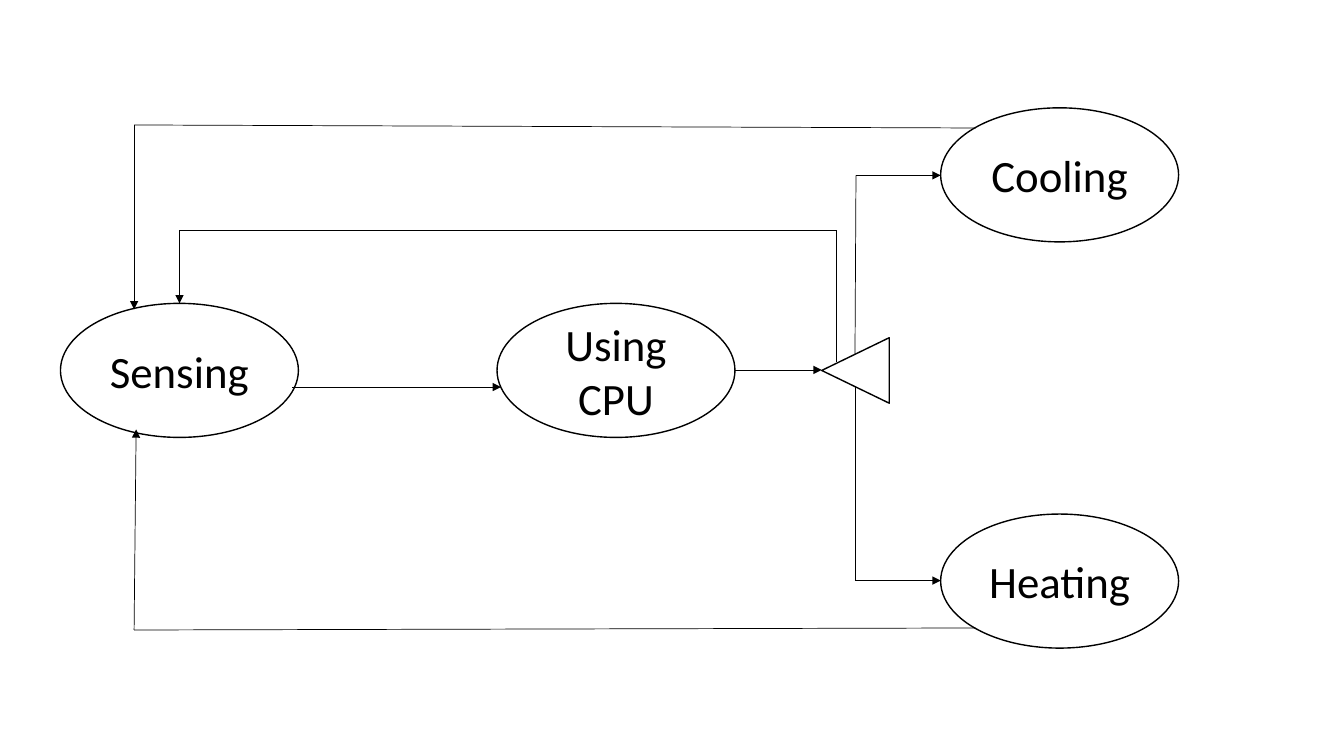
from dataclasses import dataclass
from itertools import pairwise

from lxml import etree
from pptx import Presentation
from pptx.dml.color import RGBColor
from pptx.enum.shapes import MSO_CONNECTOR, MSO_SHAPE
from pptx.enum.text import MSO_ANCHOR, PP_ALIGN
from pptx.oxml.ns import qn
from pptx.util import Inches, Pt

ELLIPSE = MSO_SHAPE.OVAL
TRIANGLE = MSO_SHAPE.ISOSCELES_TRIANGLE
STRAIGHT = MSO_CONNECTOR.STRAIGHT
MIDDLE = MSO_ANCHOR.MIDDLE
CENTER = PP_ALIGN.CENTER


@dataclass(frozen=True)
class Theme:
    ink: RGBColor = RGBColor(0, 0, 0)
    paper: RGBColor = RGBColor(255, 255, 255)
    font: str = "Calibri"
    label_size: Pt = Pt(32)
    outline: Pt = Pt(1)
    flow: Pt = Pt(0.5)


THEME = Theme()
STATE_WIDTH, STATE_HEIGHT = 2.36, 1.33
STATES = [
    ("Sensing", 0.6, 3.01),
    ("Using CPU", 4.93, 3.01),
    ("Heating", 9.33, 5.1),
    ("Cooling", 9.33, 1.07),
]
FLOWS = [
    [(2.9, 3.84), (4.97, 3.84)],
    [(7.29, 3.67), (8.15, 3.67)],
    [(8.48, 3.51), (8.49, 1.74), (9.33, 1.74)],
    [(8.48, 3.84), (8.48, 5.76), (9.33, 5.76)],
    [(8.3, 3.59), (8.3, 2.29), (1.78, 2.29), (1.78, 3.01)],
    [(9.68, 1.27), (1.33, 1.24), (1.33, 3.07)],
    [(9.68, 6.23), (1.33, 6.25), (1.35, 4.26)],
]


def add_outlined_shape(slide, kind, left, top, width, height):
    shape = slide.shapes.add_shape(
        kind, Inches(left), Inches(top), Inches(width), Inches(height)
    )
    shape.shadow.inherit = False
    shape.fill.solid()
    shape.fill.fore_color.rgb = THEME.paper
    shape.line.color.rgb = THEME.ink
    shape.line.width = THEME.outline
    return shape


def add_state(slide, label, left, top):
    shape = add_outlined_shape(slide, ELLIPSE, left, top, STATE_WIDTH, STATE_HEIGHT)
    frame = shape.text_frame
    frame.margin_left = frame.margin_right = 0
    frame.margin_top = frame.margin_bottom = 0
    frame.word_wrap = True
    frame.vertical_anchor = MIDDLE
    paragraph = frame.paragraphs[0]
    paragraph.text = label
    paragraph.alignment = CENTER
    paragraph.font.name = THEME.font
    paragraph.font.size = THEME.label_size
    paragraph.font.color.rgb = THEME.ink


def add_decision(slide):
    shape = add_outlined_shape(slide, TRIANGLE, 8.16, 3.34, 0.65, 0.67)
    shape.rotation = 270


def add_segment(slide, start, end):
    connector = slide.shapes.add_connector(
        STRAIGHT, *(Inches(value) for value in (*start, *end))
    )
    connector.line.color.rgb = THEME.ink
    connector.line.width = THEME.flow
    etree.SubElement(connector._element.spPr, qn("a:effectLst"))
    return connector


def add_flow(slide, points):
    segments = [add_segment(slide, start, end) for start, end in pairwise(points)]
    line = segments[-1].get_or_add_ln()
    etree.SubElement(line, qn("a:tailEnd"), type="triangle")


def main():
    presentation = Presentation()
    presentation.slide_width = Inches(13.33)
    presentation.slide_height = Inches(7.5)
    slide = presentation.slides.add_slide(presentation.slide_layouts[6])
    for label, left, top in STATES:
        add_state(slide, label, left, top)
    add_decision(slide)
    for points in FLOWS:
        add_flow(slide, points)
    presentation.save("out.pptx")


if __name__ == "__main__":
    main()
